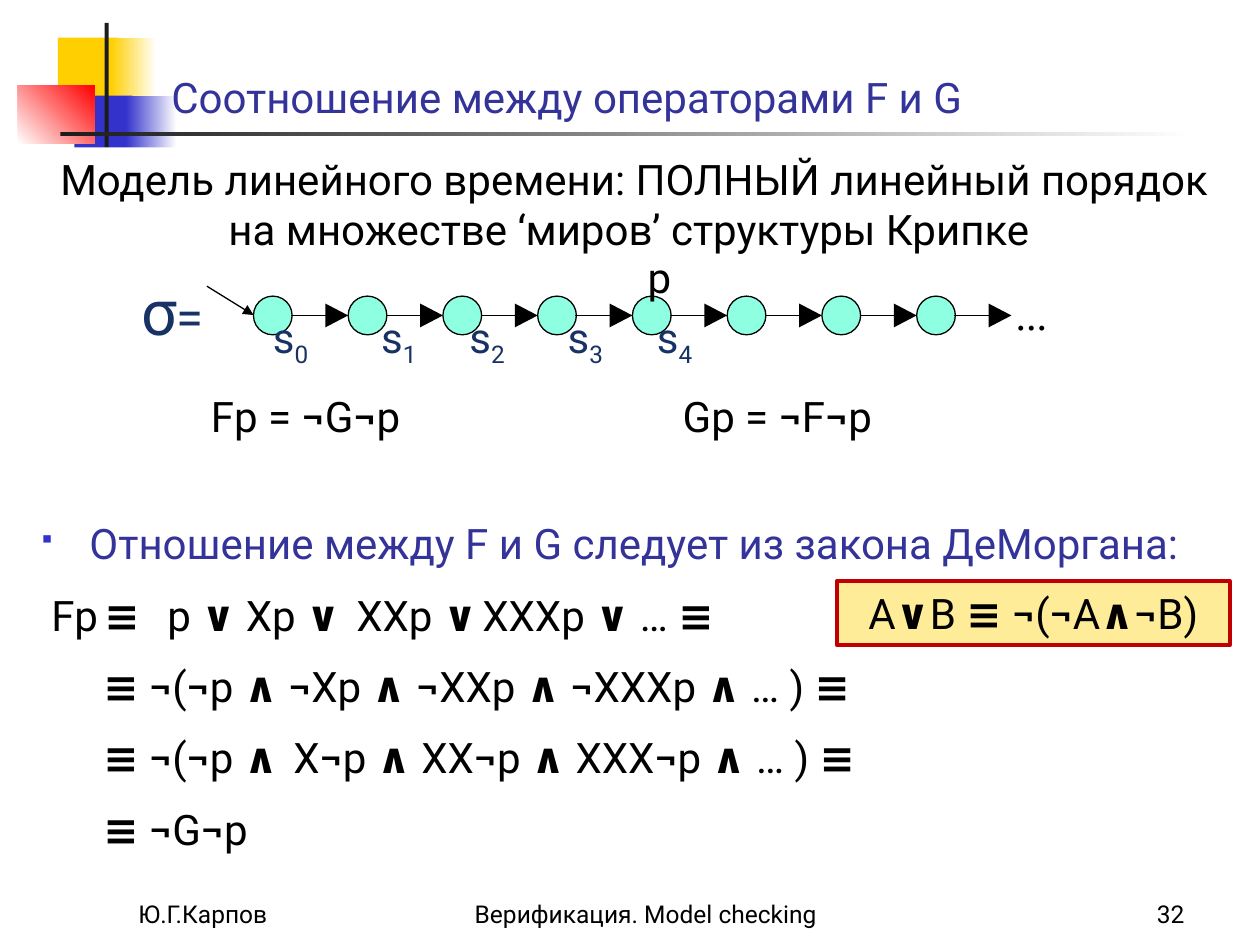
"""Build the slide on the relation between the temporal operators F and G."""
from lxml import etree
from pptx import Presentation
from pptx import util as u
from pptx.dml.color import RGBColor
from pptx.enum import shapes, text
from pptx.oxml import parse_xml
from pptx.oxml.ns import nsdecls, qn

rgb = RGBColor.from_string
Cm = u.Cm
BLACK, INDIGO, NAVY = "000000", "333399", "183266"
LEFT, CENTER, RIGHT = text.PP_ALIGN.LEFT, text.PP_ALIGN.CENTER, text.PP_ALIGN.RIGHT
TOP, BOTTOM = text.MSO_ANCHOR.TOP, text.MSO_ANCHOR.BOTTOM


def write(paragraph, markup, size=24, color=BLACK, font="Roboto", align=CENTER):
    """Add runs: stars enclose bold parts, an underscore starts a subscript."""
    paragraph.alignment = align
    for index, part in enumerate(markup.split("*")):
        base, _, subscript = part.partition("_")
        for piece, offset in ((base, None), (subscript, "-25000")):
            if piece:
                run = paragraph.add_run()
                run.text = piece
                style = {"size": u.Pt(size), "name": font, "bold": index % 2 == 1}
                for name, value in style.items():
                    setattr(run.font, name, value)
                run.font.color.rgb = rgb(color)
                if offset:
                    run.font._element.set("baseline", offset)


def add_block(kind, left, top, width, height, fill, line=None, weight=0.75):
    """Add a preset shape with a plain fill, or a gradient for a pair of colours."""
    block = slide.shapes.add_shape(kind, Cm(left), Cm(top), Cm(width), Cm(height))
    block.shadow.inherit = False
    if isinstance(fill, tuple):
        block.fill.gradient()
        for stop, color in zip(block.fill.gradient_stops, fill):
            stop.color.rgb = rgb(color)
        block.fill.gradient_angle = 0
    else:
        block.fill.solid()
        block.fill.fore_color.rgb = rgb(fill)
    if line:
        block.line.color.rgb = rgb(line)
        block.line.width = u.Pt(weight)
    else:
        block.line.fill.background()
    return block


deck = Presentation()
deck.slide_width, deck.slide_height = Cm(25.4), Cm(19.05)
slide = deck.slides.add_slide(deck.slide_layouts[1])
title, body = slide.placeholders
RECT, OVAL = shapes.MSO_SHAPE.RECTANGLE, shapes.MSO_SHAPE.OVAL

for left, top, width, height, fill in (
    (1.17, 0.76, 1.22, 1.32, "FFCF01"),
    (2.24, 0.76, 0.91, 1.32, ("FFCF01", "FFFFFF")),
    (1.5, 1.93, 1.17, 1.32, "3333CC"),
    (2.54, 1.93, 1.02, 1.32, ("3333CC", "FFFFFF")),
):
    add_block(RECT, left, top, width, height, fill)
red_square = add_block(RECT, 0.36, 1.73, 1.55, 1.17, ("FFFFFF", "FF0000"))
red_square.fill.gradient_angle = 45
add_block(RECT, 2.11, 0.46, 0.08, 2.92, "1C1C1C")
add_block(RECT, 1.22, 2.67, 22.86, 0.08, ("1C1C1C", "FFFFFF"))

for holder, area, anchor in (
    (title, (3.2, 0.56, 21.64, 2.03), BOTTOM),
    (body, (0.58, 10.31, 23.62, 7.34), TOP),
):
    holder.left, holder.top, holder.width, holder.height = map(Cm, area)
    frame_format = {"vertical_anchor": anchor, "auto_size": text.MSO_AUTO_SIZE.NONE}
    for name, value in frame_format.items():
        setattr(holder.text_frame, name, value)
    slide.shapes._spTree.append(holder._element)

write(title.text_frame.paragraphs[0], "Соотношение между операторами F и G",
      color=INDIGO, align=LEFT)

BULLET = (
    '<a:buClr {0}><a:srgbClr val="3333CC"/></a:buClr>',
    '<a:buSzPct {0} val="60000"/>',
    '<a:buFont {0} typeface="Wingdings"/>',
    '<a:buChar {0} char="§"/>',
)
PLAIN = ("<a:buNone {0}/>",)
for index, (line, margin, indent, bullet, color, stops) in enumerate((
    ("Отношение между F и G следует из закона ДеМоргана:", 0.97, -0.97, BULLET, INDIGO, ()),
    ("Fp\t*≡*\tp *∨* Xp *∨*\tXXp *∨*\tXXXp *∨* … *≡*", 0, 0.2, PLAIN, BLACK,
     (1.57, 2.68, 6.63, 9.48)),
    ("*≡ ¬*(*¬*p *∧ ¬*Xp *∧ ¬*XXp *∧ ¬*XXXp *∧* … ) *≡*", 0, 1.25, PLAIN, BLACK, ()),
    ("*≡ ¬*(*¬*p *∧*\tX*¬*p *∧* XX*¬*p *∧* XXX*¬*p *∧* … ) *≡*", 0, 1.25, PLAIN, BLACK,
     (5.42,)),
    ("*≡ ¬*G*¬*p", 0, 1.25, PLAIN, BLACK, ()),
)):
    paragraph = body.text_frame.add_paragraph() if index else body.text_frame.paragraphs[0]
    paragraph.space_before = u.Pt(12 if index else 0)
    properties = paragraph._p.get_or_add_pPr()
    properties.set("marL", str(Cm(margin)))
    properties.set("indent", str(Cm(indent)))
    for element in bullet:
        properties.append(parse_xml(element.format(nsdecls("a"))))
    if stops:
        tabs = etree.SubElement(properties, qn("a:tabLst"))
        for stop in stops:
            etree.SubElement(tabs, qn("a:tab"), pos=str(Cm(stop)), algn="l")
    write(paragraph, line, color=color, align=LEFT)

heading = add_block(RECT, 0.58, 2.97, 24.41, 2.31, "FFFFFF")
law = add_block(RECT, 16.87, 11.71, 7.92, 1.3, "FFEC99", "C00000", 2.25)
for block, words in (
    (heading, "Модель линейного времени: ПОЛНЫЙ линейный порядок "
              "на множестве ‘миров’ структуры Крипке "),
    (law, "А*∨*В *≡ ¬*(*¬*А*∧¬*В)"),
):
    block.text_frame.vertical_anchor = TOP
    write(block.text_frame.paragraphs[0], words)

first_state, state_step, axis = 5.11, 1.91, 6.36
links = [(4.17, 5.77, 5.11, 6.35)]
for number in range(8):
    left = first_state + number * state_step
    add_block(OVAL, left, axis - 0.39, 0.78, 0.78, "8EFFE1", BLACK)
    links.append((left + 0.76, axis, left + 1.48, axis))
    tip = left + 1.45
    outline = slide.shapes.build_freeform(Cm(tip), Cm(axis + 0.24))
    outline.add_line_segments([(Cm(tip + 0.46), Cm(axis)), (Cm(tip), Cm(axis - 0.24))])
    head = outline.convert_to_shape()
    head.shadow.inherit = False
    head.fill.solid()
    head.fill.fore_color.rgb = rgb(BLACK)
    head.line.fill.background()

for index, ends in enumerate(links):
    link = slide.shapes.add_connector(shapes.MSO_CONNECTOR.STRAIGHT, *map(Cm, ends))
    link.line.color.rgb = rgb(BLACK)
    link.line.width = u.Pt(0.75)
    if index == 0:
        etree.SubElement(link.line._get_or_add_ln(), qn("a:tailEnd"), type="triangle")
    etree.SubElement(link._element.spPr, qn("a:effectLst"))

state_lefts = (5.16, 7.34, 9.12, 11.1, 12.9)
labels = [(left, 6.15, 1.4, 1.3, f"s_{number}", {"color": NAVY})
          for number, left in enumerate(state_lefts)]
labels += [
    (12.7, 4.95, 1.19, 1.3, "р", {}),
    (2.59, 7.75, 7.14, 1.3, "Fp = *¬*G*¬*p", {}),
    (12.29, 7.75, 6.76, 1.3, "Gp = *¬*F*¬*p", {}),
    (2.18, 5.36, 2.59, 1.8, "σ", {"size": 36, "color": NAVY}),
    (20.47, 5.82, 0.64, 1.02, "...", {"font": "Times New Roman"}),
    (2.54, 17.58, 5.28, 1.27, "Ю.Г.Карпов", {"size": 14, "align": LEFT}),
    (9.32, 17.58, 8.05, 1.27, "Верификация. Model checking", {"size": 14, "align": LEFT}),
    (18.85, 17.58, 5.28, 1.27, "32", {"size": 14, "align": RIGHT}),
]
for left, top, width, height, words, style in labels:
    label = slide.shapes.add_textbox(Cm(left), Cm(top), Cm(width), Cm(height))
    frame_format = {"word_wrap": True,
                    "vertical_anchor": BOTTOM if style.get("size") == 14 else TOP}
    if words == "...":
        frame_format = {"word_wrap": False, "margin_left": 0, "margin_right": 0,
                        "margin_top": 0, "margin_bottom": 0}
    for name, value in frame_format.items():
        setattr(label.text_frame, name, value)
    write(label.text_frame.paragraphs[0], words, **style)
    if words == "σ":
        write(label.text_frame.paragraphs[0], "=", 28, NAVY)

deck.save("out.pptx")
